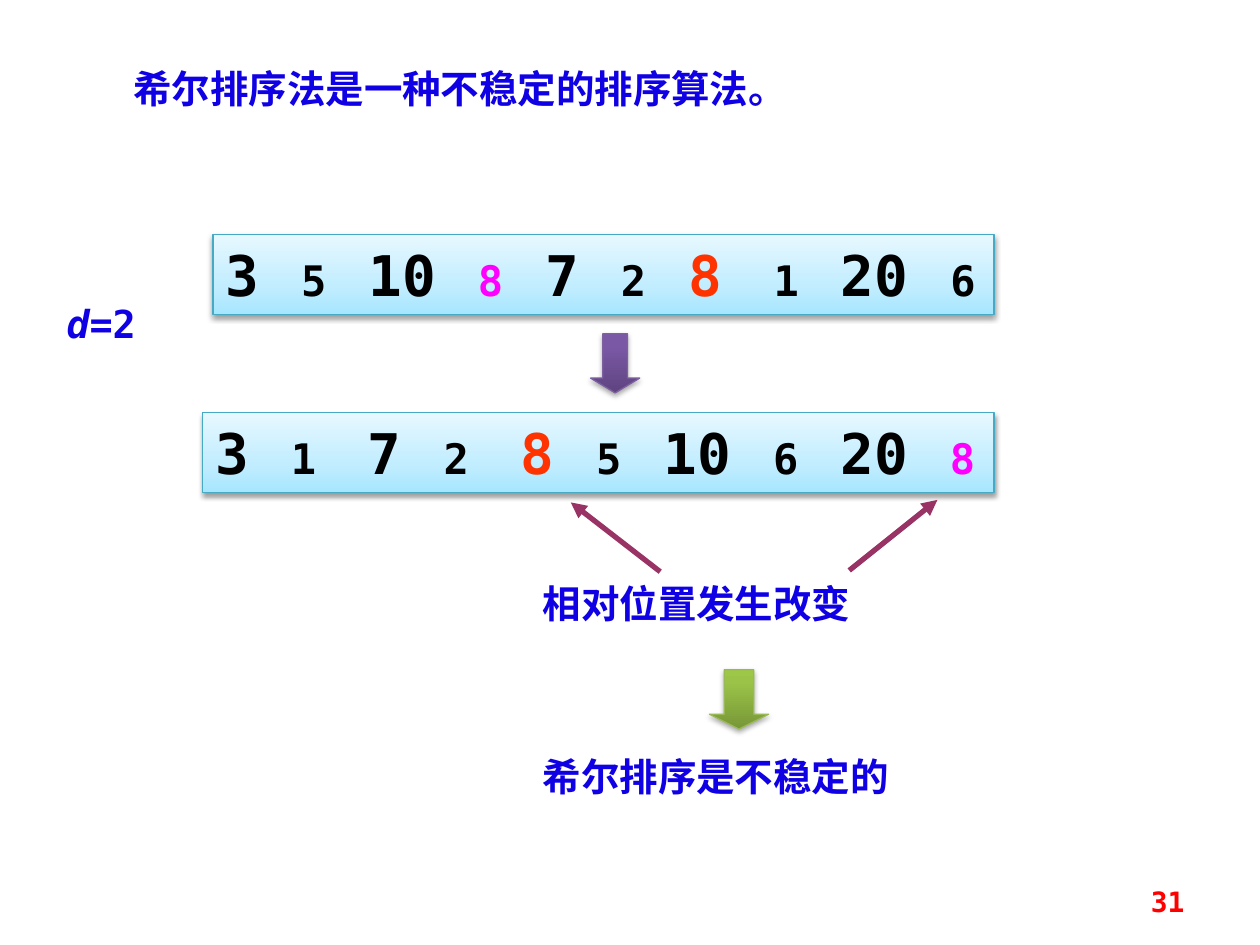
from itertools import groupby
from lxml.etree import SubElement as Sub
from pptx import Presentation
from pptx.dml.color import RGBColor as RGB
from pptx.enum.shapes import MSO_CONNECTOR as Link, MSO_SHAPE as Kind
from pptx.enum.text import MSO_ANCHOR as Anchor, PP_ALIGN as Align
from pptx.oxml.ns import qn
from pptx.util import Inches as In, Pt

BLACK = RGB(0, 0, 0)
BLUE = RGB(0x10, 0x00, 0xE4)
RED = RGB(0xFF, 0, 0)
PINK = RGB(0xFF, 0x00, 0xFF)
ORANGE = RGB(0xFF, 0x33, 0x00)
PLUM = RGB(0x99, 0x33, 0x66)
TEAL = RGB(0x46, 0xAA, 0xC5)
VIOLET = RGB(0x7D, 0x60, 0xA0)
GREEN = RGB(0x98, 0xB9, 0x55)
SKY = [(0, "A7E6FF"), (35, "C1EDFF"), (100, "E7F8FF")]
GRAPE = [(0, "5F4480"), (80, "7B58A6"), (100, "7C57A8")]
LEAF = [(0, "779737"), (80, "9BC348"), (100, "9DC746")]
WIDE, HIGH = 10, 7.5


def style(item, form):
    """Set each format value on the item."""
    for name, value in form.items():
        setattr(item, name, value)


def write(par, text, size=22, color=BLUE, **form):
    """Add one run of text to a paragraph."""
    run = par.add_run()
    run.text = text
    style(run.font, dict(name="DejaVu Sans Mono", size=Pt(size), bold=True, **form))
    run.font.color.rgb = color


def label(slide, box, parts, par_form={}, **form):
    """Place a text box made of (text, format) parts."""
    frame = slide.shapes.add_textbox(*map(In, box)).text_frame
    style(frame, dict(word_wrap=True, **form))
    par = frame.paragraphs[0]
    style(par, par_form)
    for text, look in parts:
        write(par, text, **look)


def block(slide, kind, box, stops, edge, alpha):
    """Place a shape with a vertical gradient and a soft shadow."""
    shape = slide.shapes.add_shape(kind, *map(In, box))
    shape.shadow.inherit = False
    shape.line.color.rgb, shape.line.width = edge, Pt(0.75)
    shape.fill.gradient()
    shape.fill.gradient_angle = 90
    props = shape._element.spPr
    ramp = props.find(".//" + qn("a:gsLst"))
    for old in list(ramp):
        ramp.remove(old)
    for at, tint in stops:
        stop = Sub(ramp, qn("a:gs"), pos=str(at * 1000))
        Sub(stop, qn("a:srgbClr"), val=tint)
    shade = Sub(props.find(qn("a:effectLst")), qn("a:outerShdw"), blurRad=str(Pt(3.1)),
                dist=str(Pt(1.7)), dir="5400000", rotWithShape="0")
    tone = Sub(shade, qn("a:srgbClr"), val="000000")
    Sub(tone, qn("a:alpha"), val=str(alpha * 1000))
    return shape


def row(slide, box, text, tints):
    """Place a bar of numbers, the two groups in turn large and small."""
    frame = block(slide, Kind.RECTANGLE, box, SKY, TEAL, 38).text_frame
    style(frame, dict(word_wrap=False, vertical_anchor=Anchor.MIDDLE))
    par = frame.paragraphs[0]
    par.alignment = Align.LEFT
    for i, (digit, chars) in enumerate(groupby(text, str.isdigit)):
        size = 32 if digit and i % 4 == 0 else 24
        write(par, "".join(chars), size, tints.get(i // 2, BLACK) if digit else BLACK)


def arrow(slide, box, tip, stops, edge):
    """Place a block arrow that points down."""
    shape = block(slide, Kind.DOWN_ARROW, box, stops, edge, 35)
    shape.adjustments[0], shape.adjustments[1] = 0.5, tip


def pointer(slide, start, end):
    """Draw a thick line with a head at its end."""
    line = slide.shapes.add_connector(Link.STRAIGHT, *map(In, start + end))
    line.line.color.rgb, line.line.width = PLUM, Pt(3)
    Sub(line.line._get_or_add_ln(), qn("a:tailEnd"), type="triangle")
    Sub(line._element.spPr, qn("a:effectLst"))


def head(slide, x, y, w, h):
    """Write the claim at the top."""
    label(slide, (x, y, w, h), [("希尔排序法是一种不稳定的排序算法。", {})],
          dict(line_spacing=1.3), margin_left=In(0.71))


def sort(slide, x, y, w, h):
    """Show the numbers before and after one pass."""
    end, bar = x + w, h * 0.31
    low = y + h - bar
    row(slide, (x + 0.08, y, w - 0.08, bar), "3　5　10　8　7　2　8　 1　20　6", {3: PINK, 6: ORANGE})
    label(slide, (0.43, y + 0.47, 0.9, 0.47), [("d", dict(italic=True)), ("=2", {})])
    row(slide, (x, low, end - x, bar), "3　1　 7　2　 8　5　10　6　20　8", {4: ORANGE, 9: PINK})
    arrow(slide, (x + w * 0.49, y + h * 0.385, 0.39, 0.47), 0.3, GRAPE, VIOLET)


def proof(slide, x, y, w, h):
    """Point out the swap and draw the conclusion."""
    pointer(slide, (x + 1.03, y + 0.57), (x + 0.32, y + 0.02))
    pointer(slide, (x + 2.53, y + 0.56), (x + 3.23, y))
    for text, share in (("相对位置发生改变", 0.243), ("希尔排序是不稳定的", 0.807)):
        label(slide, (x, y + h * share, w, 0.47), [(text, {})])
    arrow(slide, (x + w * 0.384, y + h * 0.555, 0.47, 0.47), 0.25, LEAF, GREEN)


def foot(slide, x, y, w, h):
    """Write the page number."""
    label(slide, (x, y, w, h), [("31", dict(size=16, color=RED))],
          dict(alignment=Align.RIGHT), vertical_anchor=Anchor.MIDDLE)


def main():
    """Build and save the slide."""
    deck = Presentation()
    deck.slide_width, deck.slide_height = In(WIDE), In(HIGH)
    slide = deck.slides.add_slide(deck.slide_layouts[6])
    for part, (x, y, w, h) in (
        (head, (0.035, 0.048, 0.945, 0.072)),
        (sort, (0.161, 0.248, 0.628, 0.273)),
        (proof, (0.421, 0.529, 0.37, 0.324)),
        (foot, (0.717, 0.927, 0.233, 0.053)),
    ):
        part(slide, x * WIDE, y * HIGH, w * WIDE, h * HIGH)
    deck.save("out.pptx")


if __name__ == "__main__":
    main()
